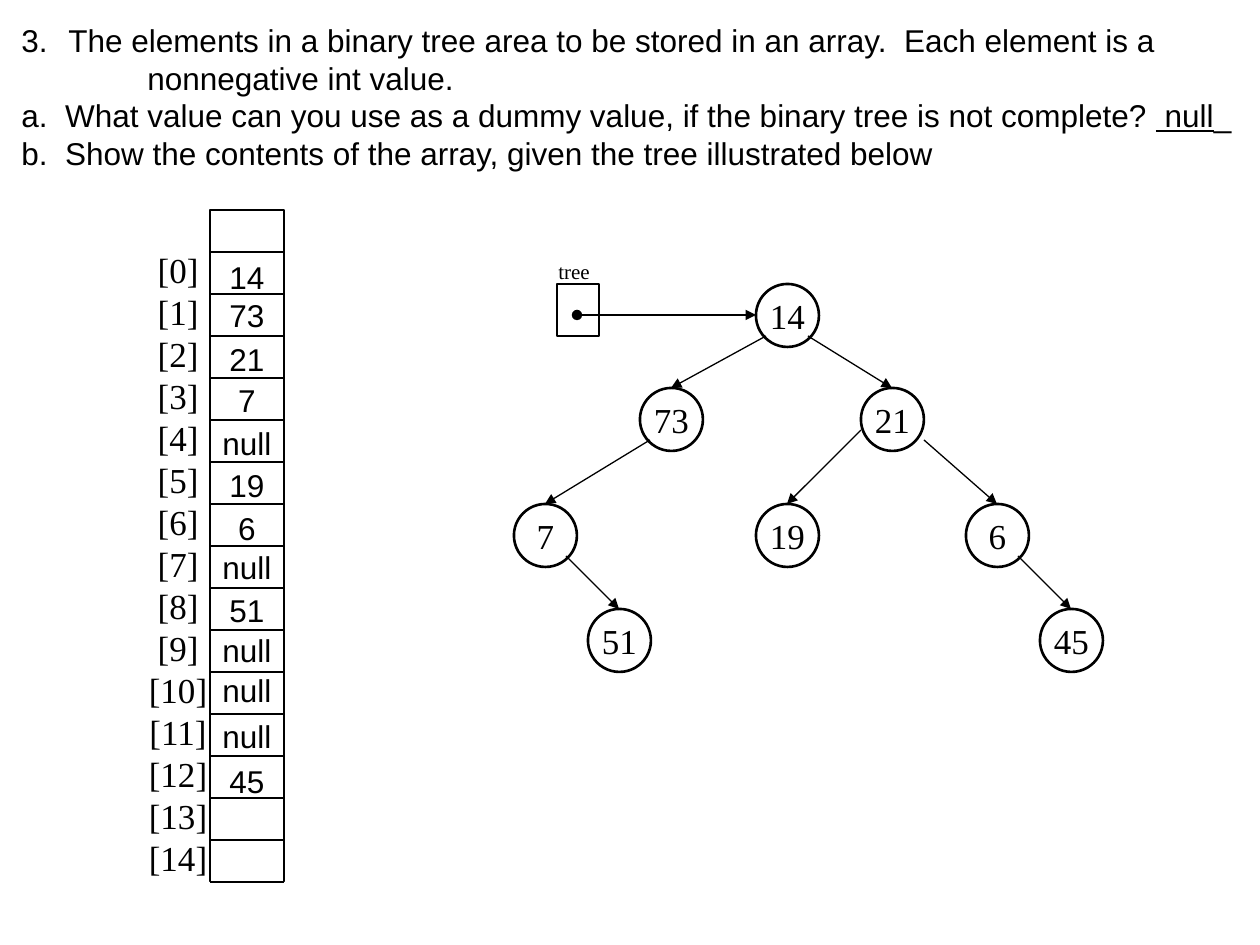
import lxml.etree
import pptx
import pptx.dml.color
import pptx.enum.shapes
import pptx.enum.text
import pptx.oxml.ns
import pptx.util

PX = 914400 // 126
qn = pptx.oxml.ns.qn
Pt = pptx.util.Pt
Align = pptx.enum.text.PP_ALIGN
Anchor = pptx.enum.text.MSO_ANCHOR
Preset = pptx.enum.shapes.MSO_SHAPE

THEME = {
    "ink": pptx.dml.color.RGBColor(0, 0, 0),
    "body": {"name": "Arial", "size": Pt(18)},
    "node": {"name": "Times New Roman", "size": Pt(20)},
    "caption": {"name": "Times New Roman", "size": Pt(12)},
    "thin": Pt(0.75),
    "thick": Pt(1.5),
}


def write(shape, lines, style, align=Align.LEFT, anchor=Anchor.TOP, spacing=None):
    """Fill a shape with paragraphs; each line is a list of (text, underline) spans."""
    frame = shape.text_frame
    frame.word_wrap = False
    frame.vertical_anchor = anchor
    for index, spans in enumerate(lines):
        para = frame.paragraphs[0] if index == 0 else frame.add_paragraph()
        para.alignment = align
        para.line_spacing = spacing
        for text, underline in spans:
            span = para.add_run()
            span.text = text
            span.font.color.rgb = THEME["ink"]
            for name, value in {**THEME[style], "underline": underline}.items():
                setattr(span.font, name, value)


def connect(shapes, start, end, **arrowheads):
    """Draw a thin straight line, with optional headEnd and tailEnd arrowheads."""
    line = shapes.add_connector(
        pptx.enum.shapes.MSO_CONNECTOR.STRAIGHT, *[value * PX for value in (*start, *end)])
    line.line.color.rgb = THEME["ink"]
    line.line.width = THEME["thin"]
    properties = line._element.spPr
    for tag, kind in arrowheads.items():
        lxml.etree.SubElement(properties.find(qn("a:ln")), qn("a:" + tag), type=kind)
    lxml.etree.SubElement(properties, qn("a:effectLst"))


deck = pptx.Presentation()
deck.slide_width, deck.slide_height = 1260 * PX, 945 * PX
page = deck.slides.add_slide(deck.slide_layouts[6])

# Question
question = page.shapes.add_textbox(9 * PX, 15 * PX, 1246 * PX, 165 * PX)
write(question, [
    [("The elements in a binary tree area to be stored in an array.  Each element is a ", None)],
    [("nonnegative int value.", None)],
    [("a.  What value can you use as a dummy value, if the binary tree is not complete? ", None),
     (" null", True), ("_", False)],
    [("b.  Show the contents of the array, given the tree illustrated below", None)],
], "body", spacing=Pt(21.5))
for para, margin in zip(question.text_frame.paragraphs, (47, 173, 47, 47)):
    layout = para._p.get_or_add_pPr()
    layout.set("marL", str(margin * PX))
    layout.set("indent", str(-47 * PX))
question.text_frame.paragraphs[1].level = 1
lxml.etree.SubElement(question.text_frame.paragraphs[0]._p.pPr, qn("a:buAutoNum"),
                      type="arabicPeriod", startAt="3")

# Tree nodes: left and top of each circle
NODE = 63
nodes = {
    14: (756, 284), 73: (640, 388), 21: (861, 388), 7: (514, 504),
    51: (588, 609), 19: (756, 504), 6: (966, 504), 45: (1040, 609),
}
root_box = page.shapes.add_shape(Preset.RECTANGLE, 557 * PX, 284 * PX, 42 * PX, 52 * PX)
root_box.line.width = THEME["thin"]
outlined = [root_box]
for value, (left, top) in nodes.items():
    circle = page.shapes.add_shape(Preset.OVAL, left * PX, top * PX, NODE * PX, NODE * PX)
    circle.line.width = THEME["thick"]
    write(circle, [[(str(value), None)]], "node", Align.CENTER, Anchor.MIDDLE)
    outlined.append(circle)

# Edges: parent, child, start measured from the parent's centre
edges = [
    (14, 73, -21, 21), (14, 21, 21, 21), (73, 7, -21, 21), (21, 19, -31, 11),
    (7, 51, 21, 21), (21, 6, 32, 21), (6, 45, 21, 21),
]
HALF = NODE // 2
for parent, child, across, down in edges:
    left, top = nodes[parent]
    child_left, child_top = nodes[child]
    connect(page.shapes, (left + HALF + across, top + HALF + down),
            (child_left + HALF, child_top), tailEnd="triangle")
connect(page.shapes, (577, 315), (756, 315), headEnd="oval", tailEnd="triangle")
caption = page.shapes.add_textbox(546 * PX, 252 * PX, 57 * PX, 38 * PX)
write(caption, [[("tree", None)]], "caption")

# Array frame, index labels and row lines
LEFT, TOP, WIDTH, ROW, ROWS = 210, 210, 74, 42, 16
array = page.shapes.add_group_shape().shapes
frame_box = array.add_shape(Preset.RECTANGLE, LEFT * PX, TOP * PX, WIDTH * PX, ROW * ROWS * PX)
frame_box.line.width = THEME["thin"]
outlined.append(frame_box)
labels = array.add_textbox(136 * PX, 242 * PX, 84 * PX, 649 * PX)
write(labels, [[(f"[{index}]", None)] for index in range(15)], "node", Align.CENTER,
      spacing=Pt(24))
for row in range(1, ROWS + 1):
    connect(array, (LEFT, TOP + row * ROW), (LEFT + WIDTH, TOP + row * ROW))

for shape in outlined:
    shape.fill.background()
    shape.line.color.rgb = THEME["ink"]
    shape.shadow.inherit = False

# Array values and the top of each
values = [
    ("14", 252), ("73", 290), ("21", 334), ("7", 375), ("null", 418), ("19", 460),
    ("6", 503), ("null", 542), ("51", 585), ("null", 625), ("null", 665),
    ("null", 711), ("45", 756),
]
for value, top in values:
    box = page.shapes.add_textbox(LEFT * PX, top * PX, WIDTH * PX, 50 * PX)
    write(box, [[(value, None)]], "body", Align.CENTER)

deck.save("out.pptx")
